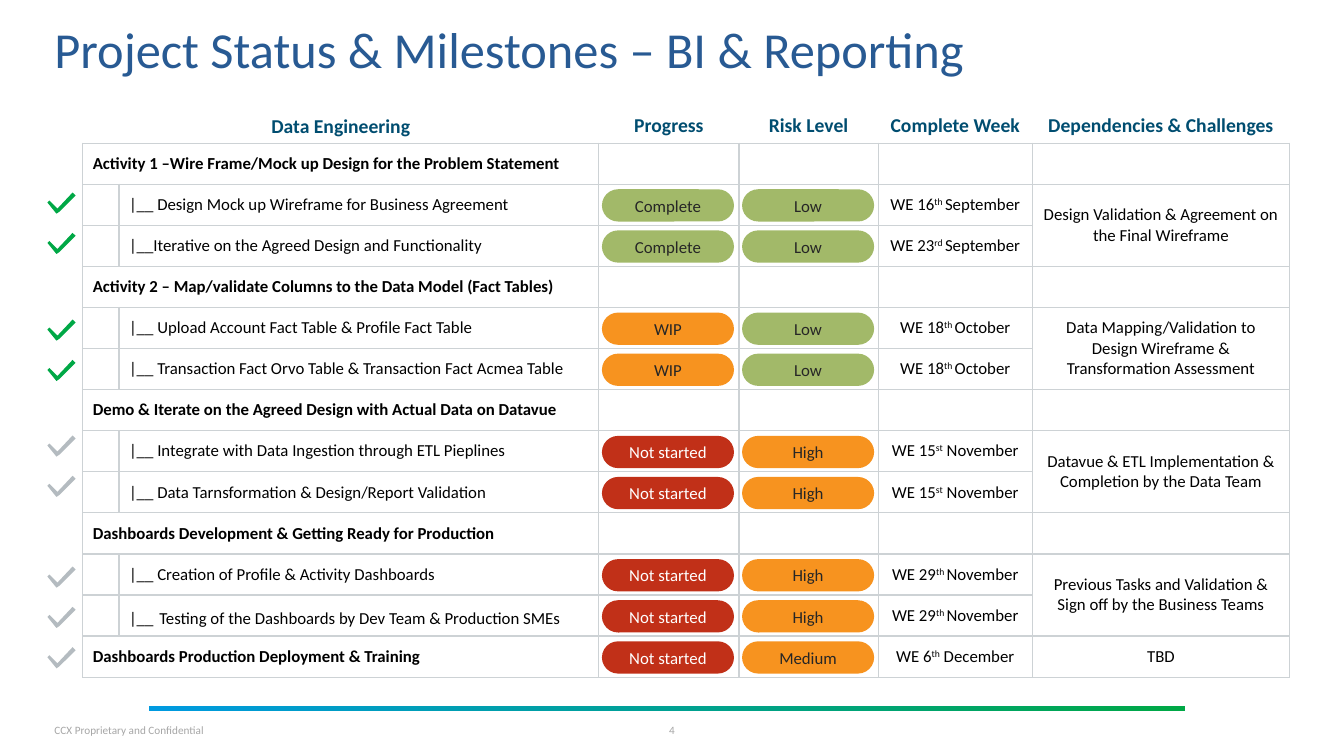
from lxml.etree import SubElement
from pptx import Presentation
from pptx.dml.color import RGBColor
from pptx.enum.shapes import MSO_SHAPE
from pptx.enum.text import MSO_ANCHOR, PP_ALIGN
from pptx.oxml.ns import qn
from pptx.util import Emu, Pt

PX = 9144  # 100 px to the inch
FONT = "Calibri"
WHITE, BLACK, DARK, GREY = "FFFFFF", "000000", "262626", "A6A6A6"
TITLE, HEADER, BORDER = "285A93", "004D70", "CDD2D5"
DONE, PENDING = "00A846", "B4BBC0"
STATUS = {
    "Complete": ("A2B969", DARK), "Low": ("A2B969", DARK),
    "WIP": ("F7931F", DARK), "High": ("F7931F", DARK), "Medium": ("F7931F", DARK),
    "Not started": ("C13018", WHITE),
}
HEADERS = ["Data Engineering", "", "Progress", "Risk Level", "Complete Week",
           "Dependencies & Challenges"]
COLUMNS = [36, 476, 139, 138, 153, 255]
HEADER_H = 45

# Label, then for tasks: progress, risk, week (base|superscript|base), tick top
ROWS = [
    ("Activity 1 –Wire Frame/Mock up Design for the Problem Statement",),
    ("|__ Design Mock up Wireframe for Business Agreement",
     "Complete", "Low", "WE 16|th |September", 191),
    ("|__Iterative on the Agreed Design and Functionality",
     "Complete", "Low", "WE 23|rd |September", 231),
    ("Activity 2 – Map/validate Columns to the Data Model (Fact Tables)",),
    ("|__ Upload Account Fact Table & Profile Fact Table",
     "WIP", "Low", "WE 18|th |October", 317),
    ("|__ Transaction Fact Orvo Table & Transaction Fact Acmea Table",
     "WIP", "Low", "WE 18|th |October", 357),
    ("Demo & Iterate on the Agreed Design with Actual Data on Datavue",),
    ("|__ Integrate with Data Ingestion through ETL Pieplines",
     "Not started", "High", "WE 15|st| November", 432),
    ("|__ Data Tarnsformation & Design/Report Validation",
     "Not started", "High", "WE 15|st| November", 472),
    ("Dashboards Development & Getting Ready for Production",),
    ("|__ Creation of Profile & Activity Dashboards",
     "Not started", "High", "WE 29|th |November", 562),
    ("|__ Testing of the Dashboards by Dev Team & Production SMEs",
     "Not started", "High", "WE 29|th |November", 602),
    ("Dashboards Production Deployment & Training",
     "Not started", "Medium", "WE 6|th| December", 642),
]
# First table row, last table row, text
DEPENDENCIES = [
    (2, 3, "Design Validation & Agreement on the Final Wireframe"),
    (5, 6, "Data Mapping/Validation to Design Wireframe & Transformation Assessment"),
    (8, 9, "Datavue & ETL Implementation & Completion by the Data Team"),
    (11, 12, "Previous Tasks and Validation & Sign off by the Business Teams"),
    (13, 13, "TBD"),
]


def rgb(value):
    return RGBColor.from_string(value)


def emu(*lengths):
    return [Emu(round(n * PX)) for n in lengths]


def write(tf, runs, size, color, bold=False, align=PP_ALIGN.LEFT):
    p = tf.paragraphs[0]
    p.alignment = align
    p.font.name, p.font.size, p.font.bold = FONT, Pt(size), bold
    p.font.color.rgb = rgb(color)
    for text in runs:
        r = p.add_run()
        r.text = text
    return p


def add_text(s, box, text, size, color, align=PP_ALIGN.LEFT, top=0):
    tf = s.shapes.add_textbox(*emu(*box)).text_frame
    tf.word_wrap = True
    tf.vertical_anchor = MSO_ANCHOR.MIDDLE
    tf.margin_left = tf.margin_right = tf.margin_bottom = 0
    tf.margin_top = emu(top)[0]
    return write(tf, [text], size, color, align=align)


def flat(sp, color):
    sp.shadow.inherit = False
    sp.line.fill.background()
    sp.fill.solid()
    sp.fill.fore_color.rgb = rgb(color)


def style_cell(cell, sides):
    """Draw the named borders, hide the others, and fill the cell white."""
    tc_pr = cell._tc.get_or_add_tcPr()
    for side in "LRTB":
        ln = SubElement(tc_pr, qn(f"a:ln{side}"), w=str(Pt(1)))
        if side in sides:
            fill = SubElement(ln, qn("a:solidFill"))
            SubElement(fill, qn("a:srgbClr"), val=BORDER)
        else:
            SubElement(ln, qn("a:noFill"))
    cell.fill.solid()
    cell.fill.fore_color.rgb = rgb(WHITE)
    cell.vertical_anchor = MSO_ANCHOR.MIDDLE
    cell.text_frame.paragraphs[0].font.size = Pt(12)


def add_pill(s, box, text):
    fill, color = STATUS[text]
    sp = s.shapes.add_shape(MSO_SHAPE.ROUNDED_RECTANGLE, *emu(*box))
    sp.adjustments[0] = 0.5
    flat(sp, fill)
    sp.text_frame.vertical_anchor = MSO_ANCHOR.MIDDLE
    write(sp.text_frame, [text], 12, color, align=PP_ALIGN.CENTER)


def add_tick(s, x, y, color):
    outline = [(25, 0), (10, 16), (2, 8), (0, 10), (9, 21), (12, 19), (28, 3)]
    points = [(x + dx, y + dy) for dx, dy in outline]
    builder = s.shapes.build_freeform(*points[0], scale=PX)
    builder.add_line_segments(points[1:], close=True)
    flat(builder.convert_to_shape(), color)


def add_status_table(s, box):
    x, y, w, h = box
    row_h = (h - HEADER_H) / len(ROWS)
    table = s.shapes.add_table(len(ROWS) + 1, len(COLUMNS), *emu(*box)).table
    for column, width in zip(table.columns, emu(*COLUMNS)):
        column.width = width
    for row, height in zip(table.rows, emu(HEADER_H, *[row_h] * len(ROWS))):
        row.height = height
    for i, row in enumerate(table.rows):
        for cell in row.cells:
            style_cell(cell, "LRTB" if i else "B")

    # Header
    table.cell(0, 0).merge(table.cell(0, 1))
    for j, text in enumerate(HEADERS):
        if text:
            cell = table.cell(0, j)
            cell.vertical_anchor = MSO_ANCHOR.BOTTOM
            p = write(cell.text_frame, [text], 14, HEADER, True, PP_ALIGN.CENTER)
            if j == 0:
                cell.vertical_anchor = MSO_ANCHOR.TOP
                p.line_spacing = 1.5

    # Activities and tasks
    pill_x = [x + sum(COLUMNS[:2]) + 3, x + sum(COLUMNS[:3]) + 3]
    for i, (label, *status) in enumerate(ROWS, 1):
        is_task = label.startswith("|__")
        if not is_task:
            table.cell(i, 0).merge(table.cell(i, 1))
        runs = [label]
        if "Testing" in label:
            runs = ["|__", " ", label[4:]]
        p = write(table.cell(i, int(is_task)).text_frame, runs, 12, BLACK, not is_task)
        if len(runs) > 1:
            p.runs[1].font.size = Pt(18)
        if status:
            progress, risk, week, tick_y = status
            cell = table.cell(i, 4)
            cell.margin_left = cell.margin_right = 0
            p = write(cell.text_frame, week.split("|"), 12, BLACK, align=PP_ALIGN.CENTER)
            p.runs[1].font._element.set("baseline", "30000")
            top = y + HEADER_H + (i - 1) * row_h + 5
            for left, text in zip(pill_x, (progress, risk)):
                add_pill(s, (left, top, 131, 32), text)
            add_tick(s, x - 35, tick_y, PENDING if progress == "Not started" else DONE)

    # Dependencies
    for first, last, text in DEPENDENCIES:
        cell = table.cell(first, 5)
        if last > first:
            cell.merge(table.cell(last, 5))
        write(cell.text_frame, [text], 12, BLACK, align=PP_ALIGN.CENTER)


def add_footer(s, box):
    x, y, w, h = box
    bar = s.shapes.add_shape(MSO_SHAPE.RECTANGLE, *emu(x + 94, y, 1027, 5))
    flat(bar, DONE)
    bar.fill.gradient()
    bar.fill.gradient_angle = 0
    for stop, color in zip(bar.fill.gradient_stops, ("009AE0", DONE)):
        stop.color.rgb = rgb(color)
    add_text(s, (x, y + 13, 161, 23), "CCX Proprietary and Confidential", 8, GREY)
    add_text(s, (x + 594, y + 13, 37, 23), "4", 8, GREY, PP_ALIGN.CENTER)


def main():
    prs = Presentation()
    prs.slide_width, prs.slide_height = emu(1333, 750)
    s = prs.slides.add_slide(prs.slide_layouts[6])
    title = add_text(s, (54, 18, 1225, 51), "Project Status & Milestones – BI & Reporting",
                     36, TITLE, top=20)
    title.line_spacing = 0.8
    add_status_table(s, (82, 97, sum(COLUMNS), 575))
    add_footer(s, (54, 700, 1225, 36))
    prs.save("out.pptx")


if __name__ == "__main__":
    main()
